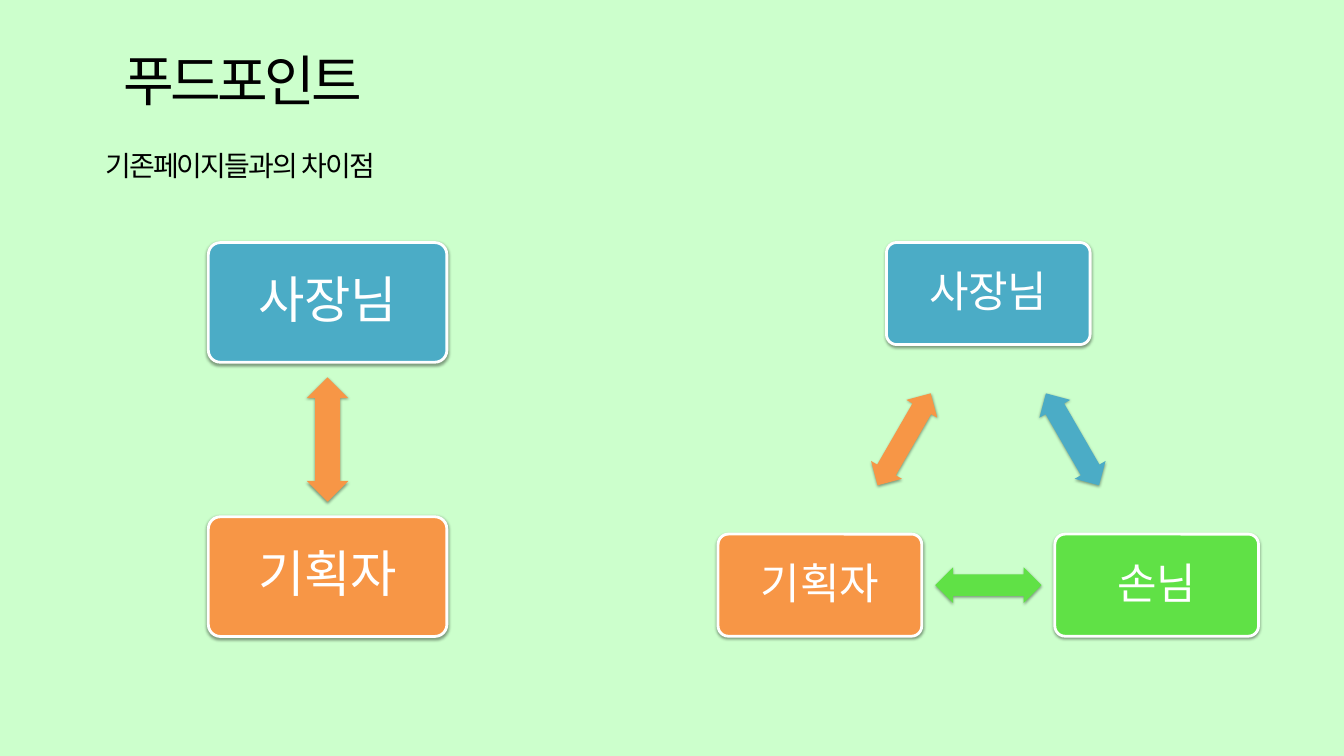
import math
import pptx
import pptx.util
import pptx.dml.color
import pptx.enum.shapes
import pptx.enum.text
import pptx.oxml
import pptx.oxml.ns

Pt = pptx.util.Pt
RGBColor = pptx.dml.color.RGBColor
SHAPE = pptx.enum.shapes.MSO_SHAPE
ALIGN = pptx.enum.text.PP_ALIGN

MINT = RGBColor(0xCC, 0xFF, 0xCC)
BLACK = RGBColor(0, 0, 0)
WHITE = RGBColor(0xFF, 0xFF, 0xFF)
BLUE = RGBColor(0x4B, 0xAC, 0xC6)
ORANGE = RGBColor(0xF7, 0x96, 0x46)
GREEN = RGBColor(0x60, 0xE1, 0x46)

HEADINGS = [
    dict(text="푸드포인트", at=(-42.5, 45.4, 606.2, 78.5), size=59, spacing=-4, align=ALIGN.CENTER),
    dict(text="기존페이지들과의 차이점", at=(105.8, 154.8, 329, 43.9), size=30, spacing=-2, align=ALIGN.LEFT),
]

OWNER = ("사장님", BLUE)
PLANNER = ("기획자", ORANGE)
GUEST = ("손님", GREEN)

CYCLES = [
    dict(people=[OWNER, PLANNER], links=[(1, 0)], centre=(351, 470.9), radius=146.9,
         box=(255.6, 128.2), arrow=(133.2, 44.6), size=54, inset=20),
    dict(people=[OWNER, GUEST, PLANNER], links=[(0, 1), (1, 2), (2, 0)],
         centre=(1058.9, 522.8), radius=208.3,
         box=(218.2, 109.4), arrow=(113.8, 38.2), size=46, inset=17),
]

SHADOW = (
    '<a:effectLst xmlns:a="http://schemas.openxmlformats.org/drawingml/2006/main">'
    '<a:outerShdw blurRad="40000" dist="20000" dir="5400000" rotWithShape="0">'
    '<a:srgbClr val="000000"><a:alpha val="38000"/></a:srgbClr>'
    '</a:outerShdw></a:effectLst>'
)


def write(frame, text, *, font, size, colour, align, spacing=None, line_spacing=None, inset=None):
    frame.word_wrap = True
    frame.vertical_anchor = pptx.enum.text.MSO_ANCHOR.MIDDLE
    if inset is not None:
        frame.margin_left = frame.margin_right = Pt(inset)
        frame.margin_top = frame.margin_bottom = Pt(inset)
    paragraph = frame.paragraphs[0]
    paragraph.alignment = align
    if line_spacing:
        paragraph.line_spacing = line_spacing
    run = paragraph.add_run()
    run.text = text
    run.font.name = font
    run.font.size = Pt(size)
    run.font.color.rgb = colour
    properties = run.font._element
    if spacing:
        properties.set("spc", str(spacing * 100))
    east_asian = properties.makeelement(pptx.oxml.ns.qn("a:ea"), {"typeface": font})
    properties.append(east_asian)


def add_block(shapes, kind, centre, extent, colour, adjustments):
    (x, y), (width, height) = centre, extent
    block = shapes.add_shape(kind, Pt(x - width / 2), Pt(y - height / 2), Pt(width), Pt(height))
    for index, value in enumerate(adjustments):
        block.adjustments[index] = value
    block.fill.solid()
    block.fill.fore_color.rgb = colour
    block.line.fill.background()
    block._element.spPr.append(pptx.oxml.parse_xml(SHADOW))
    return block


def add_cycle(slide, cycle):
    shapes = slide.shapes.add_group_shape().shapes
    people, radius = cycle["people"], cycle["radius"]
    centre_x, centre_y = cycle["centre"]
    turns = [2 * math.pi * i / len(people) for i in range(len(people))]
    spots = [(centre_x + radius * math.sin(t), centre_y - radius * math.cos(t)) for t in turns]

    for (label, colour), spot in zip(people, spots):
        box = add_block(shapes, SHAPE.ROUNDED_RECTANGLE, spot, cycle["box"], colour, [0.1])
        box.line.color.rgb = WHITE
        box.line.width = Pt(3)
        write(box.text_frame, label, font="Calibri", size=cycle["size"], colour=WHITE,
              align=ALIGN.CENTER, line_spacing=0.9, inset=cycle["inset"])

    for start, end in cycle["links"]:
        (x1, y1), (x2, y2) = spots[start], spots[end]
        middle = ((x1 + x2) / 2, (y1 + y2) / 2)
        arrow = add_block(shapes, SHAPE.LEFT_RIGHT_ARROW, middle, cycle["arrow"],
                          people[start][1], [0.6, 0.5])
        arrow.rotation = round(math.degrees(math.atan2(y2 - y1, x2 - x1))) % 360


def main():
    deck = pptx.Presentation()
    deck.slide_width, deck.slide_height = Pt(1440), Pt(810)
    slide = deck.slides.add_slide(deck.slide_layouts[6])
    slide.background.fill.solid()
    slide.background.fill.fore_color.rgb = MINT

    for heading in HEADINGS:
        box = slide.shapes.add_textbox(*map(Pt, heading["at"]))
        write(box.text_frame, heading["text"], font="Roboto", size=heading["size"],
              colour=BLACK, align=heading["align"], spacing=heading["spacing"])
    for cycle in CYCLES:
        add_cycle(slide, cycle)
    deck.save("out.pptx")


if __name__ == "__main__":
    main()
